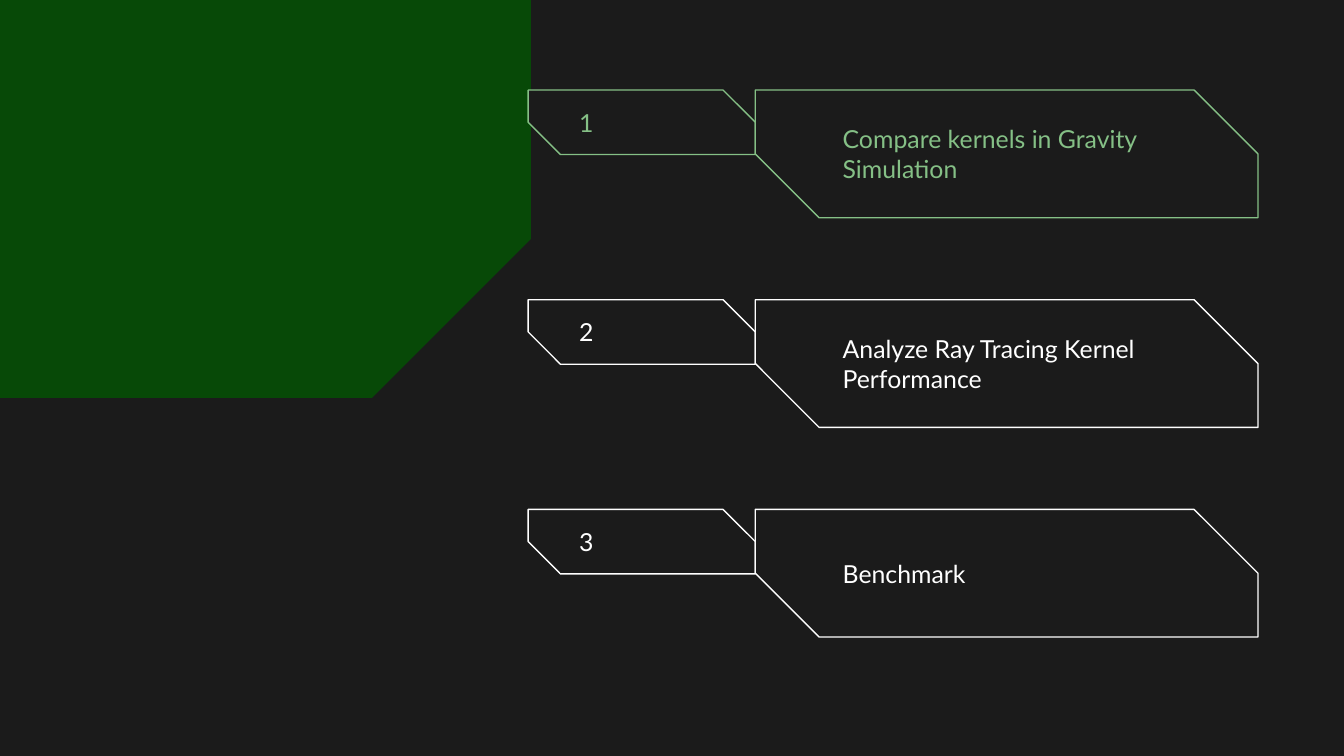
from pptx import Presentation
from pptx import util as u
from pptx.dml.color import RGBColor
from pptx.enum import shapes, text

COLORS = {"page": "1B1B1B", "corner": "074907", "active": "85C086", "plain": "FFFFFF"}
STEPS = [
    ("Compare kernels in Gravity Simulation", "active"),
    ("Analyze Ray Tracing Kernel Performance", "plain"),
    ("Benchmark", "plain"),
]
PAGE_WIDTH = 10
FIRST_TOP, STEP_GAP = 0.67, 1.56


class Agenda:
    """Hold the agenda style and the page being drawn."""

    def __init__(self, page, font="Lato", size=13.3, inset=0.13):
        self.page = page
        self.font = font
        self.size = u.Pt(size)
        self.inset = u.Inches(inset)
        self.paint(page.background.fill, "page")

    def paint(self, fill, color):
        """Give a fill one solid colour."""
        fill.solid()
        fill.fore_color.rgb = RGBColor.from_string(COLORS[color])

    def shape(self, kind, area, color, adjustments):
        """Add a filled preset shape without an outline or shadow."""
        shape = self.page.shapes.add_shape(kind, *map(u.Inches, area))
        for index, value in enumerate(adjustments):
            shape.adjustments[index] = value
        shape.shadow.inherit = False
        self.paint(shape.fill, color)
        shape.line.fill.background()
        return shape

    def corner(self, area):
        """Add the turned panel with one cut corner."""
        panel = self.shape(shapes.MSO_SHAPE.SNIP_1_RECTANGLE, area, "corner", [0.398])
        panel.rotation = 90

    def frame(self, area, color):
        """Add an outlined frame with two cut corners."""
        frame = self.shape(shapes.MSO_SHAPE.SNIP_2_DIAG_RECTANGLE, area, "page", [0, 0.5])
        self.paint(frame.line.fill, color)
        frame.line.width = u.Pt(0.75)

    def label(self, area, words, color):
        """Add a vertically centred line of text."""
        box = self.page.shapes.add_textbox(*map(u.Inches, area)).text_frame
        box.word_wrap = True
        box.vertical_anchor = text.MSO_ANCHOR.MIDDLE
        box.margin_left = box.margin_right = self.inset
        box.margin_top = box.margin_bottom = self.inset
        para = box.paragraphs[0]
        para.line_spacing = 1.0
        span = para.add_run()
        span.text = words
        span.font.name = self.font
        span.font.size = self.size
        span.font.color.rgb = RGBColor.from_string(COLORS[color])

    def step(self, number, words, color):
        """Add one numbered agenda row."""
        top = FIRST_TOP + (number - 1) * STEP_GAP
        self.frame((3.93, top, 1.69, 0.48), color)
        self.frame((5.62, top, 3.74, 0.95), color)
        self.label((4.18, top, 1.28, 0.48), str(number), color)
        self.label((6.14, top, 2.76, 0.95), words, color)


def main():
    """Build and save the agenda deck."""
    deck = Presentation()
    deck.slide_width = u.Inches(PAGE_WIDTH)
    deck.slide_height = u.Inches(PAGE_WIDTH * 9 / 16)
    agenda = Agenda(deck.slides.add_slide(deck.slide_layouts[6]))
    agenda.corner((0.49, -0.5, 2.97, 3.95))
    for number, (words, color) in enumerate(STEPS, start=1):
        agenda.step(number, words, color)
    deck.save("out.pptx")


if __name__ == "__main__":
    main()
